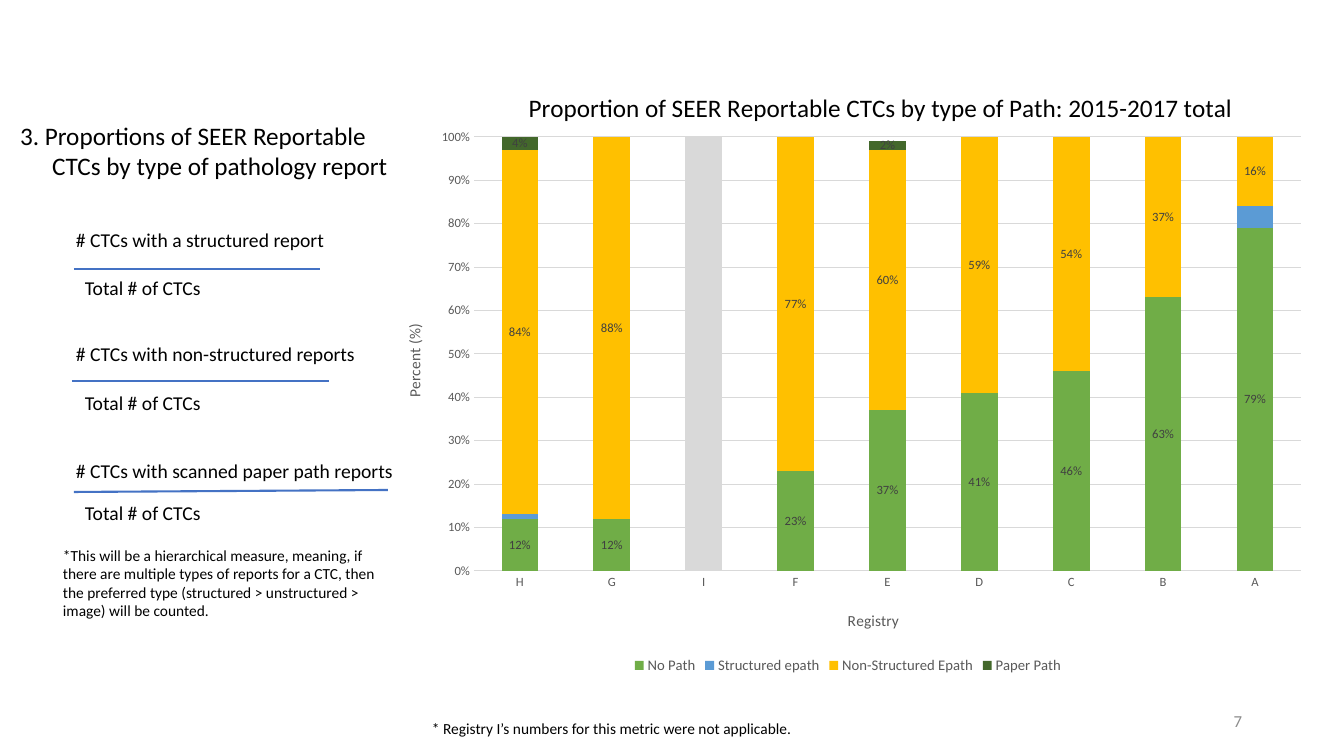
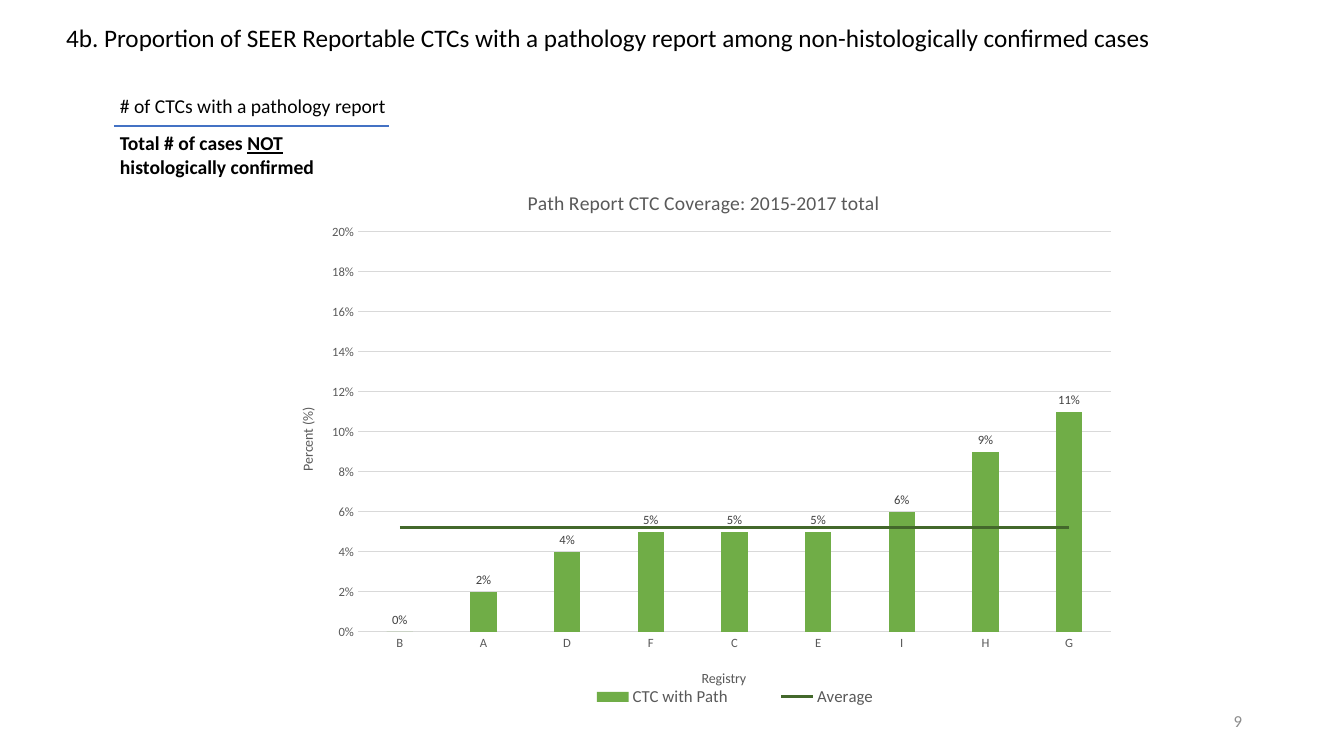
from dataclasses import dataclass

from lxml.etree import SubElement
from pptx import Presentation
from pptx.chart.data import CategoryChartData
from pptx.dml.color import RGBColor
from pptx.enum.chart import XL_CHART_TYPE as ChartType, XL_LABEL_POSITION as LabelPosition
from pptx.enum.chart import XL_LEGEND_POSITION as LegendPosition, XL_MARKER_STYLE as MarkerStyle
from pptx.enum.chart import XL_TICK_MARK as TickMark
from pptx.enum.shapes import MSO_CONNECTOR as Connector
from pptx.enum.text import MSO_ANCHOR as Anchor, MSO_AUTO_SIZE as AutoSize, PP_ALIGN as Align
from pptx.oxml.ns import qn
from pptx.util import Emu, Pt


@dataclass(frozen=True)
class Theme:
    font: str = "Calibri"
    black: str = "000000"
    axis_text: str = "595959"
    label_text: str = "404040"
    page_text: str = "8C8C8C"
    grid: str = "D9D9D9"
    rule: str = "4472C4"
    green: str = "70AD47"
    blue: str = "5B9BD5"
    yellow: str = "FFC000"
    dark_green: str = "43682B"
    title_size: float = 18
    body_size: float = 14
    page_size: float = 12
    note_size: float = 11
    axis_size: float = 9


theme = Theme()
SCALE = 914400 / 100.8


def px(length):
    return Emu(round(length * SCALE))


def assign(target, **values):
    for name, value in values.items():
        setattr(target, name, value)


def style_font(font, size, colour=theme.black, **values):
    assign(font, name=theme.font, size=Pt(size), **values)
    font.color.rgb = RGBColor.from_string(colour)


def style_line(line, colour, width):
    line.color.rgb = RGBColor.from_string(colour)
    line.width = Pt(width)


def fill_solid(target, colour):
    target.format.fill.solid()
    target.format.fill.fore_color.rgb = RGBColor.from_string(colour)


def place_shape(shape, box):
    assign(shape, **dict(zip(("left", "top", "width", "height"), map(px, box))))


def add_title(slide, box, text, hanging=0):
    title = slide.shapes.title
    place_shape(title, box)
    frame = title.text_frame
    assign(frame, text=text, word_wrap=True, vertical_anchor=Anchor.TOP, auto_size=AutoSize.NONE)
    paragraph = frame.paragraphs[0]
    paragraph.alignment = Align.LEFT
    properties = paragraph._p.get_or_add_pPr()
    properties.set("marL", str(px(hanging)))
    properties.set("indent", str(-px(hanging)))
    style_font(paragraph.runs[0].font, theme.title_size)


def add_text(slide, box, runs, size=theme.body_size, colour=theme.black,
             align=Align.LEFT, anchor=Anchor.TOP):
    shape = slide.shapes.add_textbox(*map(px, box))
    assign(shape.text_frame, word_wrap=True, vertical_anchor=anchor)
    paragraph = shape.text_frame.paragraphs[0]
    paragraph.alignment = align
    for text, values in runs:
        run = paragraph.add_run()
        run.text = text
        style_font(run.font, size, colour, **values)


def add_rule(slide, start, end):
    rule = slide.shapes.add_connector(Connector.STRAIGHT, *map(px, start + end))
    style_line(rule.line, theme.rule, 1.5)
    SubElement(rule._element.spPr, qn("a:effectLst"))


def add_fraction(slide, numerator, denominator, start, end):
    for box, runs in (numerator, denominator):
        add_text(slide, box, runs)
    add_rule(slide, start, end)


def add_page_number(slide, number):
    add_text(slide, (950, 701, 302, 40), [(number, {})], theme.page_size, theme.page_text,
             Align.RIGHT, Anchor.MIDDLE)


def place_part(element, frame, part, position):
    for layout in element.findall(qn("c:layout")):
        element.remove(layout)
    layout = element.makeelement(qn("c:layout"))
    element.insert(position, layout)
    manual = SubElement(layout, qn("c:manualLayout"))
    left, top, width, height = frame
    values = {"xMode": "edge", "yMode": "edge",
              "x": (part[0] - left) / width, "y": (part[1] - top) / height}
    if len(part) == 4:
        values.update(w=part[2] / width, h=part[3] / height)
    if position == 0:
        values = {"layoutTarget": "inner", **values}
    for name, value in values.items():
        SubElement(manual, qn("c:" + name)).set("val", str(value))


def set_title(title, text, size, colour, frame, corner):
    title.text_frame.text = text
    style_font(title.text_frame.paragraphs[0].runs[0].font, size, colour, bold=False)
    place_part(title._element, frame, corner, 1)


def style_axis(axis, title, size, frame, corner):
    assign(axis, major_tick_mark=TickMark.NONE, minor_tick_mark=TickMark.NONE, has_title=True)
    style_font(axis.tick_labels.font, theme.axis_size, theme.axis_text)
    set_title(axis.axis_title, title, size, theme.axis_text, frame, corner)


def add_column_chart(slide, frame, kind, categories, series, parts, sizes, title,
                     title_colour, maximum, unit, columns):
    data = CategoryChartData(number_format="0%")
    data.categories = categories
    for name, values in series:
        data.add_series(name, values)
    chart = slide.shapes.add_chart(kind, *map(px, frame), data).chart
    style_font(chart.font, 10)
    assign(chart, has_title=True, has_legend=True)
    set_title(chart.chart_title, title, sizes["title"], title_colour, frame, parts["title"])
    assign(chart.plots[0], vary_by_categories=False, **columns)

    style_axis(chart.category_axis, "Registry", sizes["axis"], frame, parts["category"])
    style_line(chart.category_axis.format.line, theme.grid, 0.75)
    axis = chart.value_axis
    style_axis(axis, "Percent (%)", sizes["axis"], frame, parts["value"])
    assign(axis, minimum_scale=0, maximum_scale=maximum, major_unit=unit, has_major_gridlines=True)
    assign(axis.tick_labels, number_format="0%", number_format_is_linked=False)
    axis.format.line.fill.background()
    style_line(axis.major_gridlines.format.line, theme.grid, 0.75)
    body = axis.axis_title.text_frame._element.find(qn("a:bodyPr"))
    body.set("rot", "-5400000")
    body.set("vert", "horz")

    assign(chart.legend, position=LegendPosition.BOTTOM, include_in_layout=False)
    style_font(chart.legend.font, sizes["legend"], theme.axis_text)
    place_part(chart.legend._element, frame, parts["legend"], 1)
    place_part(chart._chartSpace.chart.plotArea, frame, parts["plot"], 0)
    return chart


def label_series(series, position, hidden=()):
    labels = series.data_labels
    assign(labels, show_value=True, position=position, number_format="0%",
           number_format_is_linked=False)
    style_font(labels.font, theme.axis_size, theme.label_text)
    for place, index in enumerate(hidden):
        label = labels._element.makeelement(qn("c:dLbl"))
        labels._element.insert(place, label)
        SubElement(label, qn("c:idx")).set("val", str(index))
        SubElement(label, qn("c:delete")).set("val", "1")


def move_to_line(chart, series):
    columns = chart.plots[0]._element
    element = series._element
    for flag in element.findall(qn("c:invertIfNegative")):
        element.remove(flag)
    lines = columns.makeelement(qn("c:lineChart"))
    columns.addnext(lines)
    SubElement(lines, qn("c:grouping")).set("val", "standard")
    SubElement(lines, qn("c:varyColors")).set("val", "0")
    lines.append(element)
    SubElement(lines, qn("c:marker")).set("val", "1")
    for axis in columns.findall(qn("c:axId")):
        SubElement(lines, qn("c:axId")).set("val", axis.get("val"))
    average = chart.plots[1].series[0]
    average.smooth = False
    average.marker.style = MarkerStyle.NONE
    style_line(average.format.line, theme.dark_green, 2.25)


def add_path_type_chart(slide, frame):
    categories = "HGIFEDCBA"
    series = (
        ("No Path", (0.12, 0.12, 0.13, 0.23, 0.37, 0.41, 0.46, 0.63, 0.79)),
        ("Structured epath", (0.01, 0, 0.87, 0, 0, 0, 0, 0, 0.05)),
        ("Non-Structured Epath", (0.84, 0.88, 0, 0.77, 0.6, 0.59, 0.54, 0.37, 0.16)),
        ("Paper Path", (0.04, 0, 0, 0, 0.02, 0, 0, 0, 0)),
    )
    parts = {"title": (524, 86), "category": (845, 607), "value": (401, 321),
             "legend": (630, 655, 436, 25), "plot": (474, 137, 827, 434)}
    chart = add_column_chart(
        slide, frame, ChartType.COLUMN_STACKED, categories, series, parts,
        {"title": theme.title_size, "axis": 11, "legend": 10.5},
        "Proportion of SEER Reportable CTCs by type of Path: 2015-2017 total",
        theme.black, 1, 0.1, {"gap_width": 150, "overlap": 100})
    not_applicable = categories.index("I")
    colours = (theme.green, theme.blue, theme.yellow, theme.dark_green)
    for column, colour in zip(chart.plots[0].series, colours):
        fill_solid(column, colour)
        fill_solid(column.points[not_applicable], theme.grid)
        if column.name != "Structured epath":
            hidden = [index for index, value in enumerate(column.values)
                      if value == 0 or index == not_applicable]
            label_series(column, LabelPosition.CENTER, hidden)


def add_coverage_chart(slide, frame):
    series = (
        ("CTC with Path", (0, 0.02, 0.04, 0.05, 0.05, 0.05, 0.06, 0.09, 0.11)),
        ("Average", (0.052,) * 9),
    )
    parts = {"title": (524, 186), "category": (699, 667), "value": (296, 405),
             "legend": (549, 682, 372, 30), "plot": (358, 232, 753, 400)}
    chart = add_column_chart(
        slide, frame, ChartType.COLUMN_CLUSTERED, "BADFCEIHG", series, parts,
        {"title": 14, "axis": 10, "legend": 12},
        "Path Report CTC Coverage: 2015-2017 total",
        theme.axis_text, 0.2, 0.02, {"gap_width": 219, "overlap": -27})
    coverage, average = chart.plots[0].series
    fill_solid(coverage, theme.green)
    label_series(coverage, LabelPosition.OUTSIDE_END)
    move_to_line(chart, average)


def build_path_type_slide(slide):
    add_path_type_chart(slide, (377, 58, 942, 622))
    add_title(slide, (10, 115, 412, 72),
              "3. Proportions of SEER Reportable CTCs by type of pathology report", 32)
    fractions = (
        ("# CTCs with a structured report", 223, 271, (74, 269), (320, 269)),
        ("# CTCs with non-structured reports", 337, 386, (72, 381), (329, 381)),
        ("# CTCs with scanned paper path reports", 454, 496, (74, 492), (388, 490)),
    )
    for numerator, top, bottom, start, end in fractions:
        add_fraction(slide, ((66, top, 357, 34), [(numerator, {})]),
                     ((75, bottom, 280, 34), [("Total # of CTCs", {})]), start, end)
    add_text(slide, (53, 541, 336, 105),
             [("*This will be a hierarchical measure, meaning, if there are multiple types of "
               "reports for a CTC, then the preferred type (structured > unstructured > image) "
               "will be counted.", {})], theme.note_size)
    add_text(slide, (422, 714, 432, 36),
             [("* Registry I’s numbers for this metric were not applicable.", {})],
             theme.note_size)
    add_page_number(slide, "7")


def build_coverage_slide(slide):
    add_title(slide, (56, 17, 1194, 40),
              "4b. Proportion of SEER Reportable CTCs with a pathology report among "
              "non-histologically confirmed cases")
    denominator = [("Total # of cases ", {"bold": True}),
                   ("NOT", {"bold": True, "underline": True}),
                   (" histologically confirmed", {"bold": True})]
    add_fraction(slide, ((110, 89, 328, 34), [("# of CTCs with a pathology report", {})]),
                 ((110, 126, 251, 57), denominator), (114, 126), (389, 126))
    add_page_number(slide, "9")
    add_coverage_chart(slide, (273, 162, 855, 577))


presentation = Presentation()
assign(presentation, slide_width=px(1344), slide_height=px(756))
for build in (build_path_type_slide, build_coverage_slide):
    build(presentation.slides.add_slide(presentation.slide_layouts[5]))
presentation.save("out.pptx")
